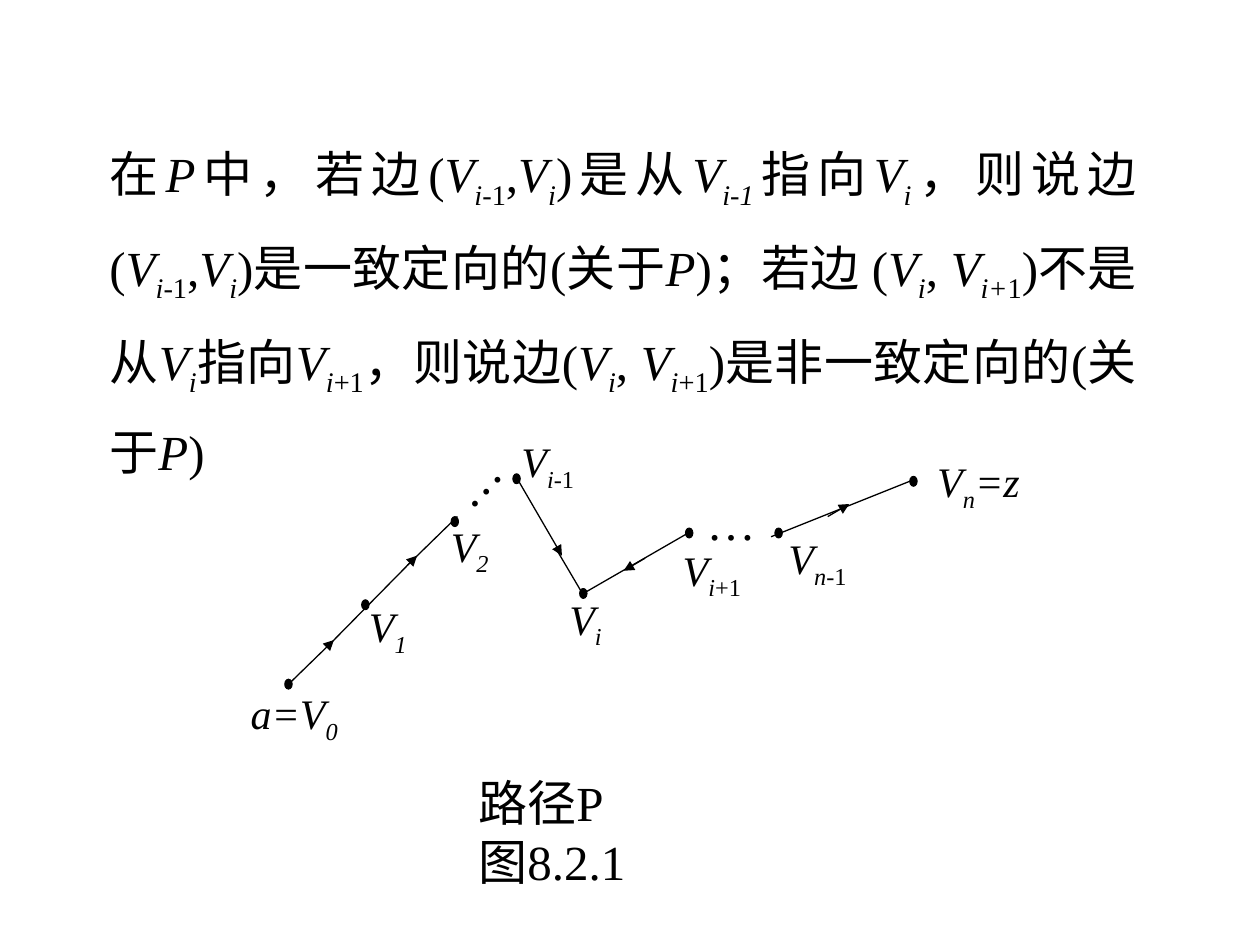
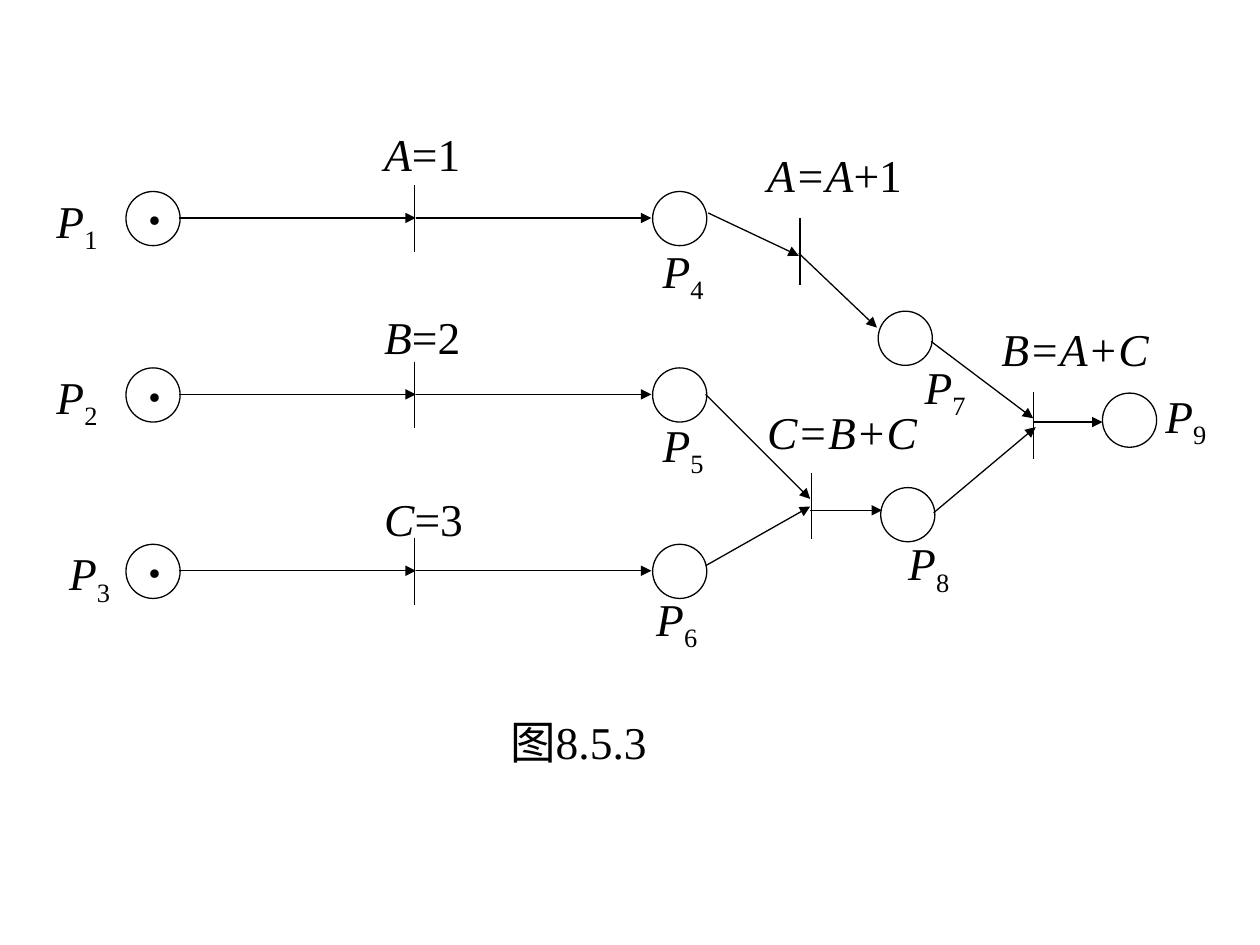
from lxml import etree
from pptx import Presentation
from pptx import util as u
from pptx.dml.color import RGBColor
from pptx.enum import shapes, text
from pptx.oxml import ns

INK = "000000"
FONT = "Times New Roman"


def color(value):
    return RGBColor.from_string(value)


class Sketch:
    def __init__(self, deck, size):
        self.page = deck.slides.add_slide(deck.slide_layouts[6])
        self.size = size

    def add_spans(self, para, markup, size, bold):
        italic = False
        for level, part in enumerate(markup.split("_")):
            for turn, piece in enumerate(part.split("/")):
                if turn:
                    italic = not italic
                if not piece:
                    continue
                span = para.add_run()
                span.text = piece
                span.font.name = FONT
                span.font.size = u.Pt(size)
                span.font.italic = italic
                span.font.bold = bold
                span.font.color.rgb = color(INK)
                if level % 2:
                    span.font._element.set("baseline", "-25000")

    def label(self, left, top, width, height, *lines, size=None, wrap=False,
              bold=False, turn=0):
        box = self.page.shapes.add_textbox(
            u.Inches(left), u.Inches(top), u.Inches(width), u.Inches(height))
        box.rotation = turn
        frame = box.text_frame
        frame.word_wrap = wrap
        frame.auto_size = text.MSO_AUTO_SIZE.SHAPE_TO_FIT_TEXT
        for number, line in enumerate(lines):
            para = frame.add_paragraph() if number else frame.paragraphs[0]
            self.add_spans(para, line, size or self.size, bold)
        return frame

    def line(self, start, end, arrow=False):
        stroke = self.page.shapes.add_connector(
            shapes.MSO_CONNECTOR.STRAIGHT,
            *[u.Inches(value) for value in (*start, *end)])
        stroke.line.color.rgb = color(INK)
        stroke.line.width = u.Pt(0.75)
        if arrow:
            outline = stroke.line._get_or_add_ln()
            etree.SubElement(outline, ns.qn("a:tailEnd"), type="triangle")
        etree.SubElement(stroke._element.spPr, ns.qn("a:effectLst"))

    def arrow(self, start, end):
        self.line(start, end, arrow=True)

    def ellipse(self, left, top, width, height, fill=None, weight=0.75):
        oval = self.page.shapes.add_shape(
            shapes.MSO_SHAPE.OVAL, u.Inches(left), u.Inches(top),
            u.Inches(width), u.Inches(height))
        oval.shadow.inherit = False
        if fill:
            oval.fill.solid()
            oval.fill.fore_color.rgb = color(fill)
        else:
            oval.fill.background()
        oval.line.color.rgb = color(INK)
        oval.line.width = u.Pt(weight)

    def vertex(self, left, top):
        self.ellipse(left, top, 0.06, 0.08, fill=INK, weight=0.5)

    def place(self, left, top):
        self.ellipse(left, top, 0.43, 0.43)

    def transition(self, x, top):
        self.line((x, top), (x, top + 0.53))

    def place_name(self, number, left, top, width=0.85):
        self.label(left, top, width, 0.6, f"/P/_{number}_", wrap=True)


def build_path_slide(deck):
    sketch = Sketch(deck, 24)
    definition = (
        "在/P/中，若边(/V_i/-1_,/V_i_/)是从/V_i-1_/指向/V_i_/，则说边"
        "(/V_i/-1_,/V_i_/)是一致定向的(关于/P/)；若边 (/V_i_/, /V_i+/1_)"
        "不是从/V_i_/指向/V_i/+1_，则说边(/V_i_/, /V_i/+1_)"
        "是非一致定向的(关于/P/)")
    frame = sketch.label(0.77, 0.88, 8.35, 2.99, definition, size=28, wrap=True)
    para = frame.paragraphs[0]
    para.alignment = text.PP_ALIGN.JUSTIFY
    para.line_spacing = 1.4

    for start, end in [
        ((2.27, 5.45), (2.65, 5.08)),
        ((2.63, 5.1), (3.31, 4.41)),
        ((4.1, 3.79), (4.46, 4.41)),
        ((5.12, 4.43), (4.95, 4.53)),
        ((6.57, 4.1), (6.74, 4)),
    ]:
        sketch.arrow(start, end)
    for start, end in [
        ((3.23, 4.49), (3.63, 4.1)),
        ((4.41, 4.35), (4.64, 4.74)),
        ((4.63, 4.71), (5.48, 4.22)),
        ((6.12, 4.26), (7.27, 3.8)),
    ]:
        sketch.line(start, end)

    for left, top in [(2.26, 5.39), (2.87, 4.76), (3.58, 4.1), (4.07, 3.76),
                      (4.6, 4.67), (5.44, 4.19), (6.15, 4.19), (7.22, 3.78)]:
        sketch.vertex(left, top)

    sketch.label(5.51, 3.85, 0.59, 0.57, "…", size=28)
    sketch.label(3.47, 3.53, 0.59, 0.57, "…", size=28, turn=313.3)

    for left, top, width, name in [
        (1.89, 5.41, 0.89, "/a=V_0_"),
        (2.83, 4.72, 0.5, "/V_1_"),
        (3.48, 4.08, 0.5, "/V_2_"),
        (4.04, 3.41, 0.62, "/V_i/-1_"),
        (4.42, 4.66, 0.5, "/V_i_"),
        (5.32, 4.27, 0.66, "/V_i/+1_"),
        (6.16, 4.18, 0.66, "/V_n/-1_"),
        (7.34, 3.57, 0.9, "/V_n_=z"),
    ]:
        sketch.label(left, top, width, 0.56, name)

    sketch.label(3.7, 6.08, 1.46, 1.04, "路径P", "图8.2.1", size=28)


def build_petri_net_slide(deck):
    sketch = Sketch(deck, 26)
    input_lefts = [0.35, 0.35, 0.45]
    output_lefts = [5.16, 5.16, 5.11]
    assignments = ["/A/=1", "/B/=2", "/C/=3"]
    rows = zip(input_lefts, output_lefts, assignments)
    for row, (input_left, output_left, assignment) in enumerate(rows):
        drop = 1.4 * row
        axis = 1.73 + drop
        sketch.place(1, 1.52 + drop)
        sketch.place(5.18, 1.52 + drop)
        sketch.transition(3.29, 1.47 + drop)
        sketch.arrow((1.42, axis), (3.3, axis))
        sketch.arrow((3.3, axis), (5.17, axis))
        sketch.place_name(row + 1, input_left, 1.48 + drop, width=0.74)
        sketch.place_name(row + 4, output_left, 1.88 + 1.38 * row)
        sketch.label(2.95, 0.95 + 1.45 * row, 0.88, 0.54, assignment)
        sketch.label(1.06, 1.43 + drop, 0.34, 0.6, "·", size=30, bold=True)

    for left, top in [(6.97, 2.47), (6.99, 3.87), (8.75, 3.12)]:
        sketch.place(left, top)
    for x, top in [(8.2, 3.11), (6.35, 1.73), (6.44, 3.75)]:
        sketch.transition(x, top)
    for start, end in [
        ((5.62, 1.69), (6.34, 2.03)),
        ((6.34, 2.01), (6.96, 2.6)),
        ((5.6, 3.13), (6.43, 3.96)),
        ((5.6, 4.49), (6.43, 4.02)),
        ((6.43, 4.05), (7, 4.05)),
        ((7.39, 2.71), (8.2, 3.32)),
        ((7.41, 4.07), (8.22, 3.39)),
        ((8.2, 3.35), (8.75, 3.35)),
    ]:
        sketch.arrow(start, end)

    for number, left, top in [(7, 7.24, 2.8), (8, 7.11, 4.2), (9, 9.15, 3.03)]:
        sketch.place_name(number, left, top)
    for left, top, width, words in [
        (5.99, 1.12, 1.27, "/A=A/+1"),
        (5.99, 3.16, 1.39, "/C=B+C"),
        (7.85, 2.5, 1.37, "/B=A+C"),
        (3.95, 5.62, 1.37, "图8.5.3"),
    ]:
        sketch.label(left, top, width, 0.54, words)


def main():
    deck = Presentation()
    deck.slide_width = u.Inches(10)
    deck.slide_height = u.Inches(7.5)
    build_path_slide(deck)
    build_petri_net_slide(deck)
    deck.save("out.pptx")


if __name__ == "__main__":
    main()
